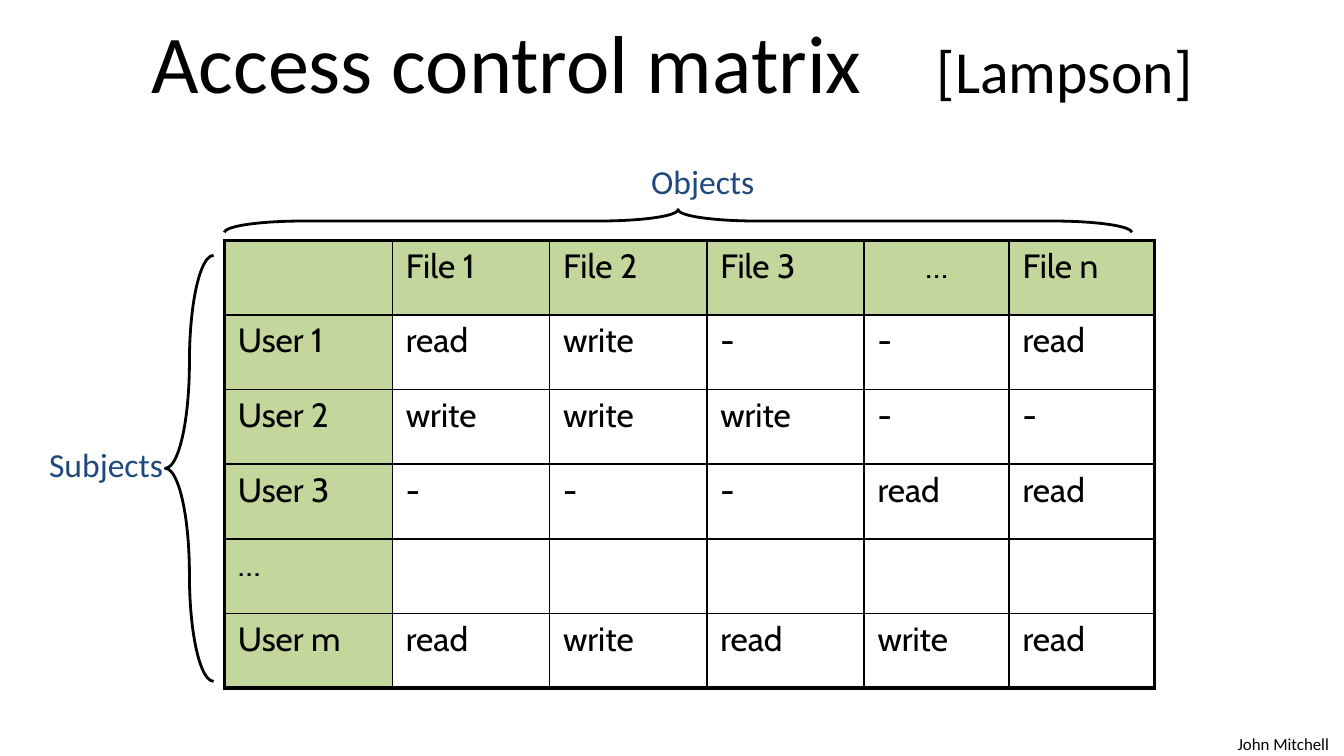
from lxml.etree import SubElement
from pptx import Presentation
from pptx.dml.color import RGBColor
from pptx.enum.shapes import MSO_SHAPE as Shape
from pptx.enum.text import MSO_ANCHOR as Anchor, PP_ALIGN as Align
from pptx.oxml.ns import qn
from pptx.util import Inches, Pt


def color(hex_code):
    return RGBColor.from_string(hex_code)


class MatrixSlide:
    HEADING_FONT = "Calibri"
    CELL_FONT = "Cabin"
    INK = "000000"
    LABEL = "1F497D"
    HEADER_FILL = "C3D69B"
    THIN, THICK = 1, 2.25

    def __init__(self, deck):
        self.slide = deck.slides.add_slide(deck.slide_layouts[5])

    def style(self, paragraph, size, ink=INK, font=HEADING_FONT, align=Align.LEFT):
        paragraph.alignment = align
        paragraph.font.name = font
        paragraph.font.size = Pt(size)
        paragraph.font.color.rgb = color(ink)

    def title(self, topic, author, box):
        heading = self.slide.shapes.title
        heading.left, heading.top, heading.width, heading.height = map(Inches, box)
        heading.text_frame.vertical_anchor = Anchor.MIDDLE
        paragraph = heading.text_frame.paragraphs[0]
        self.style(paragraph, 44, align=Align.CENTER)
        paragraph.add_run().text = topic
        citation = paragraph.add_run()
        citation.text = author
        citation.font.size = Pt(32)

    def text(self, words, box, size, ink=INK, align=Align.CENTER):
        frame = self.slide.shapes.add_textbox(*map(Inches, box)).text_frame
        frame.word_wrap = False
        frame.vertical_anchor = Anchor.MIDDLE
        paragraph = frame.paragraphs[0]
        paragraph.text = words
        self.style(paragraph, size, ink, align=align)

    def brace(self, box, curve, rotation=0):
        brace = self.slide.shapes.add_shape(Shape.LEFT_BRACE, *map(Inches, box))
        brace.shadow.inherit = False
        brace.rotation = rotation
        brace.adjustments[0] = curve
        brace.fill.background()
        brace.line.color.rgb = color(self.INK)
        brace.line.width = Pt(1.5)

    def border(self, cell, side, width):
        properties = cell._tc.get_or_add_tcPr()
        line = SubElement(properties, qn(f"a:ln{side}"), w=str(Pt(width)))
        fill = SubElement(line, qn("a:solidFill"))
        SubElement(fill, qn("a:srgbClr"), val=self.INK)

    def table(self, rows, box, widths):
        last_row, last_column = len(rows) - 1, len(widths) - 1
        table = self.slide.shapes.add_table(
            len(rows), len(widths), *map(Inches, box)).table
        for column, width in zip(table.columns, widths):
            column.width = Inches(width)
        for r, entries in enumerate(rows):
            table.rows[r].height = Inches(box[3]) // len(rows)
            for c, entry in enumerate(entries):
                cell = table.cell(r, c)
                cell.margin_top = cell.margin_bottom = Inches(0.04)
                paragraph = cell.text_frame.paragraphs[0]
                paragraph.text = entry
                centered = r == 0 and entry == "…"
                self.style(paragraph, 18, font=self.CELL_FONT,
                           align=Align.CENTER if centered else Align.LEFT)
                outer = {"L": c == 0, "R": c == last_column,
                         "T": r == 0, "B": r == last_row}
                for side, is_outer in outer.items():
                    self.border(cell, side, self.THICK if is_outer else self.THIN)
                if r == 0 or c == 0:
                    cell.fill.solid()
                    cell.fill.fore_color.rgb = color(self.HEADER_FILL)
                else:
                    cell.fill.background()


def main():
    deck = Presentation()
    deck.slide_width = Inches(10)
    deck.slide_height = deck.slide_width * 9 // 16
    permissions = [
        ["", "File 1", "File 2", "File 3", "…", "File n"],
        ["User 1", "read", "write", "-", "-", "read"],
        ["User 2", "write", "write", "write", "-", "-"],
        ["User 3", "-", "-", "-", "read", "read"],
        ["…", "", "", "", "", ""],
        ["User m", "read", "write", "read", "write", "read"],
    ]

    matrix = MatrixSlide(deck)
    matrix.text("John Mitchell", (9.11, 5.41, 0.89, 0.25), 9, align=Align.LEFT)
    matrix.title("Access control matrix    ", "[Lampson]", (0.5, -0.02, 9, 0.94))
    matrix.table(permissions, (1.67, 1.79, 6.92, 3.33),
                 [1.25] + [1.17] * 3 + [1.08] * 2)
    matrix.text("Subjects", (0.24, 3.25, 1.1, 0.4), 18, matrix.LABEL)
    matrix.brace((1.23, 1.9, 0.36, 3.17), 2.22)
    matrix.brace((4.96, -1.73, 0.17, 6.75), 3.46, rotation=90)
    matrix.text("Objects", (4.68, 1.15, 1.1, 0.4), 18, matrix.LABEL)
    deck.save("out.pptx")


if __name__ == "__main__":
    main()
